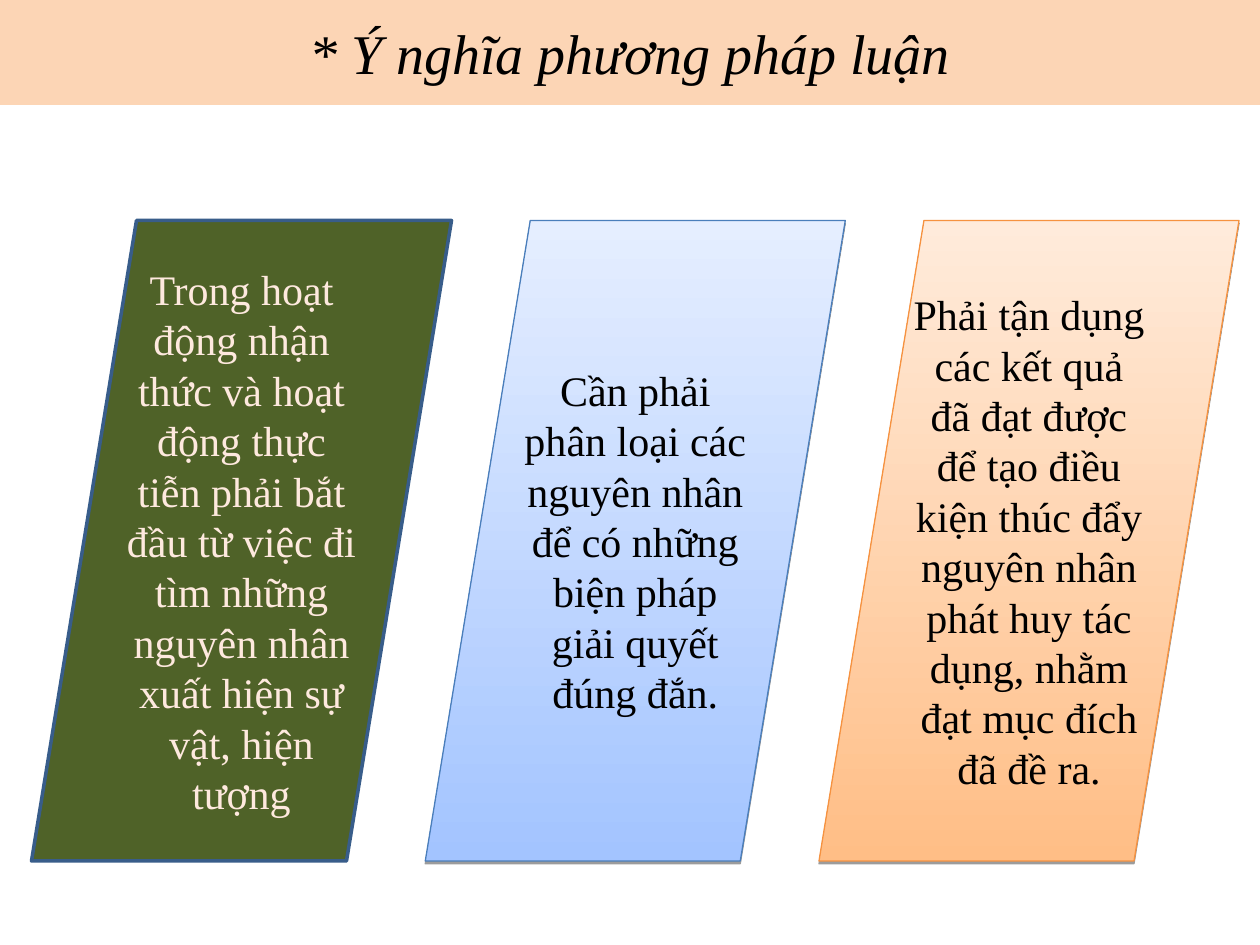
"""Build a slide with a title band and three slanted panels on methodology."""
from lxml import etree
from pptx import Presentation
from pptx.dml.color import RGBColor
from pptx.enum.shapes import MSO_SHAPE
from pptx.enum.text import MSO_ANCHOR, PP_ALIGN
from pptx.oxml.ns import qn
from pptx.util import Pt

PX = 7620
PARALLELOGRAM = MSO_SHAPE.PARALLELOGRAM
CENTER = PP_ALIGN.CENTER
MIDDLE = MSO_ANCHOR.MIDDLE
TITLE_ONLY = 5
FONT = "Times New Roman"
COLORS = {
    "band": "FCD5B5", "black": "000000", "cream": "FEE9DE",
    "green": "4F6228", "navy": "385D8A",
    "blue": "A3C4FF", "pale_blue": "E5EEFF", "blue_line": "4A7EBB",
    "orange": "FFBE86", "pale_orange": "FFEBDB", "orange_line": "F69240",
}
PANELS = [
    ("Trong hoạt động nhận thức và hoạt động thực tiễn phải bắt đầu từ việc đi "
     "tìm những nguyên nhân xuất hiện sự vật, hiện tượng",
     ["green"], "navy", 2, "cream"),
    ("Cần phải phân loại các nguyên nhân để có những biện pháp giải quyết "
     "đúng đắn.",
     ["blue", "pale_blue"], "blue_line", 0.75, "black"),
    ("Phải tận dụng các kết quả đã đạt được để tạo điều kiện thúc đẩy nguyên "
     "nhân phát huy tác dụng, nhằm đạt mục đích đã đề ra.",
     ["orange", "pale_orange"], "orange_line", 0.75, "black"),
]


class SlideBuilder:
    """Holds the style and the current slide."""

    def __init__(self, prs):
        self.slide = prs.slides.add_slide(prs.slide_layouts[TITLE_ONLY])

    def color(self, name):
        return RGBColor.from_string(COLORS[name])

    def set_text(self, sp, text, size, color, italic=False):
        tf = sp.text_frame
        tf.text = text
        tf.word_wrap = True
        tf.vertical_anchor = MIDDLE
        p = tf.paragraphs[0]
        p.alignment = CENTER
        font = p.runs[0].font
        font.name, font.size, font.italic = FONT, Pt(size), italic
        font.color.rgb = self.color(color)

    def title(self, text, width, height):
        sp = self.slide.shapes.title
        sp.left, sp.top, sp.width, sp.height = 0, 0, width * PX, height * PX
        sp.fill.solid()
        sp.fill.fore_color.rgb = self.color("band")
        self.set_text(sp, text, 32, "black", italic=True)

    def shadow(self, sp):
        effects = sp._element.spPr.find(qn("a:effectLst"))
        outer = etree.SubElement(effects, qn("a:outerShdw"), blurRad="0",
                                 dist="20000", dir="5400000", rotWithShape="0")
        clr = etree.SubElement(outer, qn("a:srgbClr"), val=COLORS["black"])
        etree.SubElement(clr, qn("a:alpha"), val="38000")

    def panel(self, box, text, fills, line, line_width, text_color):
        sp = self.slide.shapes.add_shape(PARALLELOGRAM, *(v * PX for v in box))
        sp.adjustments[0] = 0.25
        sp.shadow.inherit = False
        if len(fills) == 1:
            sp.fill.solid()
            sp.fill.fore_color.rgb = self.color(fills[0])
        else:
            sp.fill.gradient()
            sp.fill.gradient_angle = 90
            for i, stop in enumerate(sp.fill.gradient_stops):
                stop.color.rgb = self.color(fills[i])
                stop.position = float(i)
            self.shadow(sp)
        sp.line.color.rgb = self.color(line)
        sp.line.width = Pt(line_width)
        self.set_text(sp, text, 24, text_color)


def main():
    prs = Presentation()
    prs.slide_width, prs.slide_height = 1200 * PX, 900 * PX
    builder = SlideBuilder(prs)
    builder.title("* Ý nghĩa phương pháp luận", 1200, 100)
    for i, panel in enumerate(PANELS):
        builder.panel((30 + 375 * i, 210, 400, 610), *panel)
    prs.save("out.pptx")


if __name__ == "__main__":
    main()
